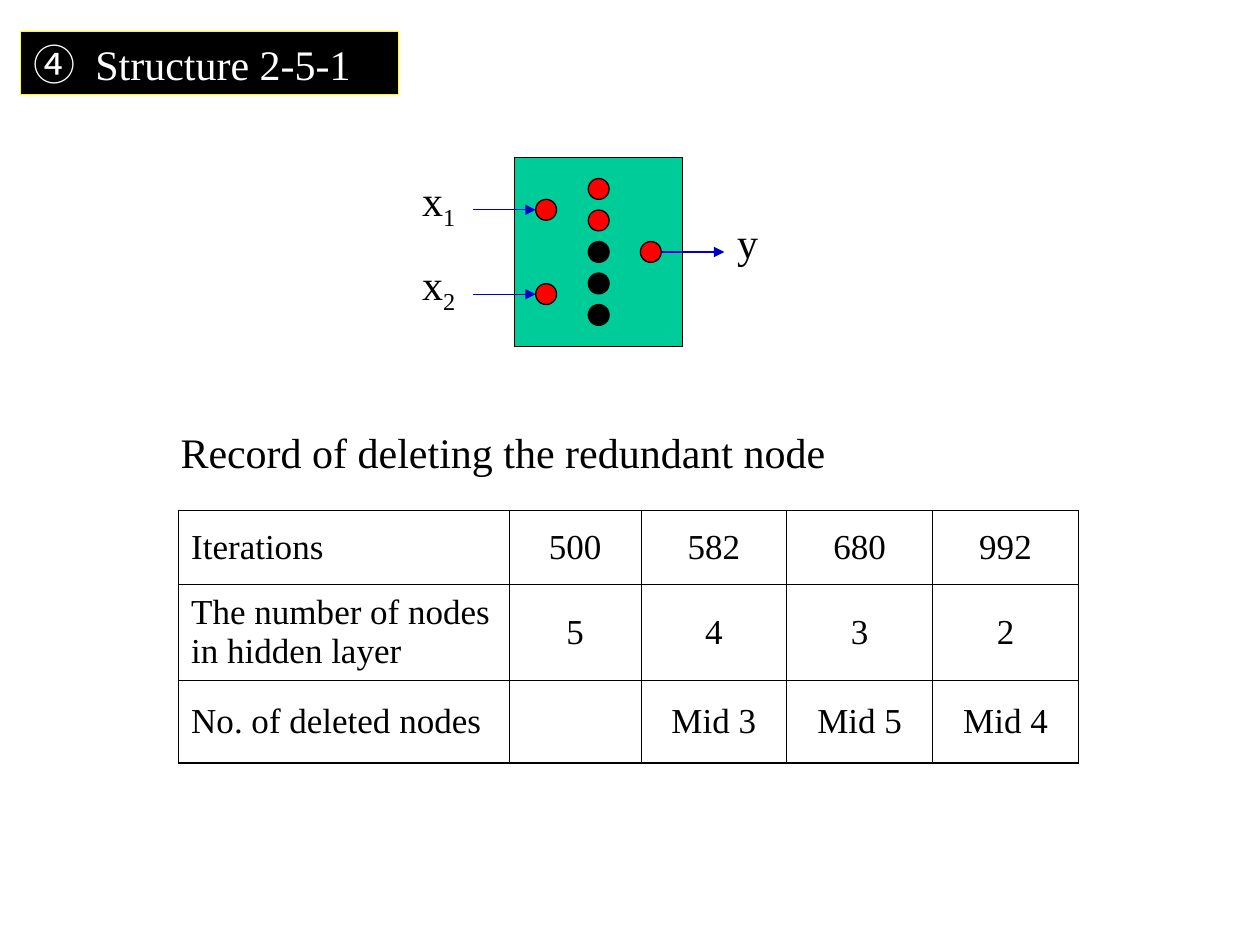
from lxml import etree
from pptx import Presentation
from pptx import util as u
from pptx.dml.color import RGBColor
from pptx.enum import shapes, text
from pptx.oxml import ns

Cm = u.Cm
hues = {"black": "000000", "white": "FFFFFF", "yellow": "FFFF00",
        "green": "00CC99", "red": "FF0000", "blue": "0000CC"}
hue = {name: RGBColor.from_string(code) for name, code in hues.items()}
face = "Times New Roman"


def style(frame, size, tint="black", align=text.PP_ALIGN.LEFT):
    for para in frame.paragraphs:
        para.alignment = align
        for run in para.runs:
            run.font.name = face
            run.font.size = u.Pt(size)
            run.font.color.rgb = hue[tint]


def paint(shape, fill, line):
    shape.shadow.inherit = False
    shape.fill.solid()
    shape.fill.fore_color.rgb = hue[fill]
    shape.line.color.rgb = hue[line]
    shape.line.width = u.Pt(0.75)


deck = Presentation()
deck.slide_width, deck.slide_height = Cm(25.4), Cm(19.05)
slide = deck.slides.add_slide(deck.slide_layouts[5])

title = slide.shapes.title
title.left, title.top, title.width, title.height = Cm(0.42), Cm(0.64), Cm(7.62), Cm(1.27)
paint(title, "black", "yellow")
frame = title.text_frame
frame.text = "④ "
frame.paragraphs[0].add_run().text = " Structure 2-5-1"
frame.auto_size = text.MSO_AUTO_SIZE.NONE
frame.vertical_anchor = text.MSO_ANCHOR.MIDDLE
style(frame, 24, "white")
mark = frame.paragraphs[0].runs[0]
mark.font.name = "Noto Sans CJK SC"
etree.SubElement(mark.font._element, ns.qn("a:ea"), typeface=mark.font.name)

net = slide.shapes.add_shape(shapes.MSO_SHAPE.RECTANGLE, Cm(10.37), Cm(3.18), Cm(3.39), Cm(3.81))
paint(net, "green", "black")

size = 0.42
rows = [4.23, 5.93]
mid = 5.08
nodes = [(12.07, 3.81 + row * 2.54 / 4, "red" if row < 2 else "black") for row in range(5)]
nodes += [(11.01, row, "red") for row in rows] + [(13.12, mid, "red")]
for x, y, tint in nodes:
    node = slide.shapes.add_shape(shapes.MSO_SHAPE.OVAL, Cm(x - size / 2), Cm(y - size / 2),
                                  Cm(size), Cm(size))
    paint(node, tint, "black")

for x, y in [(9.53, rows[0]), (9.53, rows[1]), (13.33, mid)]:
    arrow = slide.shapes.add_connector(shapes.MSO_CONNECTOR.STRAIGHT, Cm(x), Cm(y), Cm(x + 1.27), Cm(y))
    arrow.line.color.rgb = hue["blue"]
    arrow.line.width = u.Pt(0.75)
    etree.SubElement(arrow.line._get_or_add_ln(), ns.qn("a:tailEnd"), type="triangle")
    etree.SubElement(arrow._element.spPr, ns.qn("a:effectLst"))

labels = [("x", "1", 8.26, 3.39, 1.27, 1.42), ("x", "2", 8.26, 5.08, 1.48, 1.42),
          ("y", "", 14.61, 4.23, 1.06, 1.27),
          ("Record of deleting the redundant node", "", 3.39, 8.47, 13.55, 1.27)]
for word, sub, x, y, wide, high in labels:
    box = slide.shapes.add_textbox(Cm(x), Cm(y), Cm(wide), Cm(high))
    frame = box.text_frame
    frame.word_wrap = True
    frame.text = word
    if sub:
        run = frame.paragraphs[0].add_run()
        run.text = sub
        run.font._element.set("baseline", "-25000")
    style(frame, 24)

data = [["Iterations", "500", "582", "680", "992"],
        ["The number of nodes in hidden layer", "5", "4", "3", "2"],
        ["No. of deleted nodes", "", "Mid 3", "Mid 5", "Mid 4"]]
wides = [6.67, 2.65, 2.94, 2.94, 2.94]
highs = [1.48, 1.94, 1.66]
table = slide.shapes.add_table(len(highs), len(wides), Cm(3.6), Cm(10.29),
                               Cm(sum(wides)), Cm(sum(highs))).table
table.first_row = table.horz_banding = False
for col, wide in zip(table.columns, wides):
    col.width = Cm(wide)
for row, high in zip(table.rows, highs):
    row.height = Cm(high)

for r, line in enumerate(data):
    for c, word in enumerate(line):
        cell = table.cell(r, c)
        cell.text_frame.text = word
        cell.vertical_anchor = text.MSO_ANCHOR.MIDDLE
        style(cell.text_frame, 20, align=text.PP_ALIGN.CENTER if c else text.PP_ALIGN.LEFT)
        cell.fill.background()
        edges = {"L": c == 0, "R": c == len(wides) - 1, "T": r == 0, "B": r == len(highs) - 1}
        props = cell._tc.get_or_add_tcPr()
        for spot, (side, outer) in enumerate(edges.items()):
            rule = etree.Element(ns.qn("a:ln" + side), w=str(u.Pt(1.08 if outer else 0.45)))
            fill = etree.SubElement(rule, ns.qn("a:solidFill"))
            etree.SubElement(fill, ns.qn("a:srgbClr"), val=hues["black"])
            props.insert(spot, rule)

deck.save("out.pptx")
